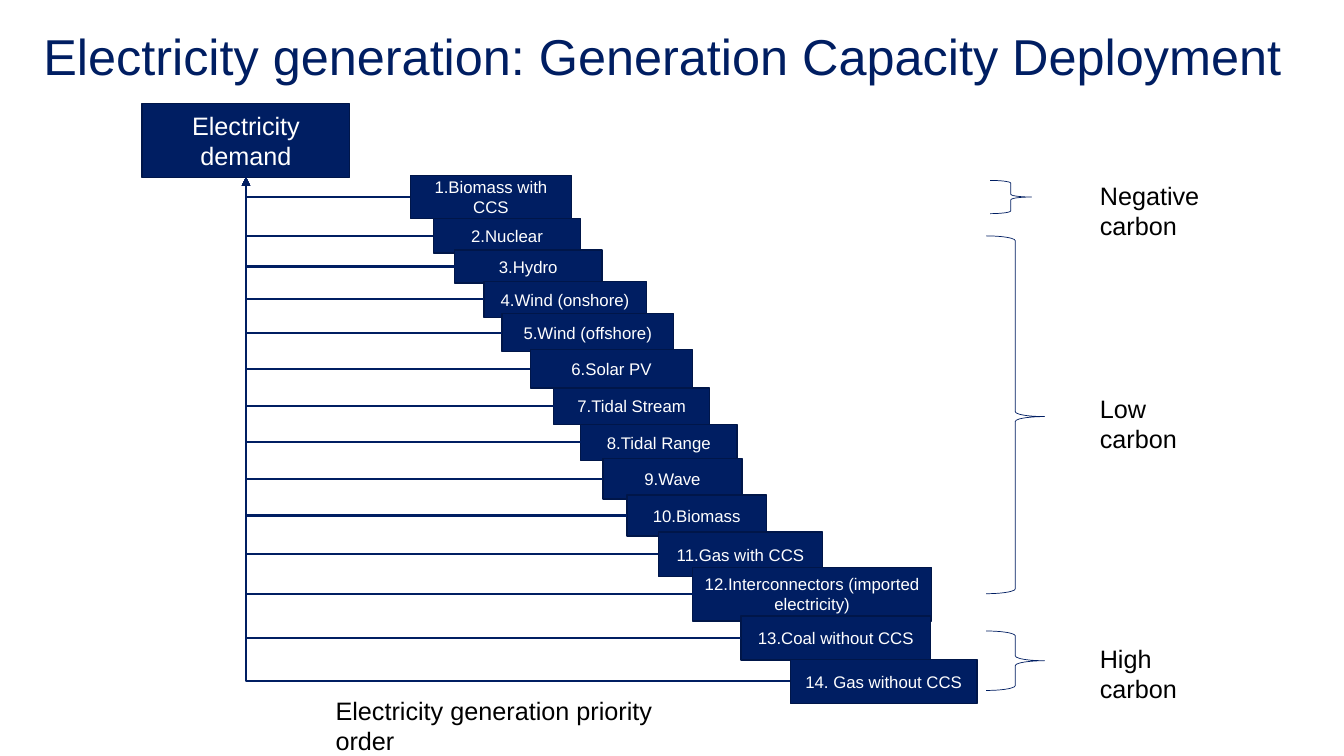
from lxml import etree
from pptx import Presentation
from pptx.dml.color import RGBColor
from pptx.enum.shapes import MSO_CONNECTOR, MSO_SHAPE
from pptx.enum.text import MSO_ANCHOR, MSO_AUTO_SIZE, PP_ALIGN
from pptx.oxml.ns import qn
from pptx.util import Inches, Pt

ELBOW = MSO_CONNECTOR.ELBOW
RECT, BRACE = MSO_SHAPE.RECTANGLE, MSO_SHAPE.RIGHT_BRACE
TOP, MIDDLE = MSO_ANCHOR.TOP, MSO_ANCHOR.MIDDLE
LEFT, CENTER = PP_ALIGN.LEFT, PP_ALIGN.CENTER
GROW, NO_AUTOFIT = MSO_AUTO_SIZE.SHAPE_TO_FIT_TEXT, MSO_AUTO_SIZE.NONE

NAVY = RGBColor(0x00, 0x1E, 0x62)
EDGE = RGBColor(0x00, 0x16, 0x49)
WHITE = RGBColor(0xFF, 0xFF, 0xFF)
BLACK = RGBColor(0x00, 0x00, 0x00)
FONT = "Arial"

# Sources in priority order: label, left, top, width, height
SOURCES = [
    ("1.Biomass with CCS", 4.07, 1.74, 1.6, 0.43),
    ("2.Nuclear", 4.3, 2.17, 1.46, 0.34),
    ("3.Hydro", 4.51, 2.48, 1.46, 0.33),
    ("4.Wind (onshore)", 4.8, 2.79, 1.61, 0.36),
    ("5.Wind (offshore)", 4.98, 3.11, 1.7, 0.38),
    ("6.Solar PV", 5.26, 3.47, 1.61, 0.38),
    ("7.Tidal Stream", 5.49, 3.85, 1.55, 0.36),
    ("8.Tidal Range", 5.76, 4.21, 1.55, 0.36),
    ("9.Wave", 5.98, 4.55, 1.38, 0.4),
    ("10.Biomass", 6.22, 4.91, 1.38, 0.41),
    ("11.Gas with CCS", 6.53, 5.28, 1.63, 0.44),
    ("12.Interconnectors (imported electricity)", 6.87, 5.63, 2.37, 0.53),
    ("13.Coal without CCS", 7.35, 6.11, 1.88, 0.44),
    ("14. Gas without CCS", 7.84, 6.54, 1.85, 0.44),
]

# Carbon bands: label, label top, label width, brace box, brace adjustments
BANDS = [
    ("Negative carbon", 1.74, 1.88, (9.82, 1.79, 0.41, 0.33), (0.083, 0.5)),
    ("Low carbon", 3.85, 1.39, (9.78, 2.34, 0.58, 3.55), (0.083, 0.505)),
    ("High carbon", 6.33, 1.44, (9.78, 6.26, 0.58, 0.59), (0.083, 0.5)),
]


def set_text(tf, text, size, color, align=LEFT):
    tf.text = text
    tf.word_wrap = True
    p = tf.paragraphs[0]
    p.alignment = align
    font = p.runs[0].font
    font.name, font.size, font.color.rgb = FONT, Pt(size), color
    return p


def set_title(slide, text):
    sp = slide.shapes.title
    sp.left, sp.top, sp.width, sp.height = map(Inches, (0.43, 0.32, 13.23, 1.45))
    tf = sp.text_frame
    p = set_text(tf, text, 36, NAVY)
    p.line_spacing = 0.9
    tf.auto_size = NO_AUTOFIT
    tf.vertical_anchor = TOP
    tf.margin_left = tf.margin_right = tf.margin_top = tf.margin_bottom = 0


def add_box(slide, text, box, size):
    sp = slide.shapes.add_shape(RECT, *map(Inches, box))
    sp.shadow.inherit = False
    sp.fill.solid()
    sp.fill.fore_color.rgb = NAVY
    sp.line.color.rgb = EDGE
    sp.line.width = Pt(1)
    sp.text_frame.vertical_anchor = MIDDLE
    set_text(sp.text_frame, text, size, WHITE, CENTER)
    return sp


def add_label(slide, text, box):
    sp = slide.shapes.add_textbox(*map(Inches, box))
    set_text(sp.text_frame, text, 18, BLACK)
    sp.text_frame.auto_size = GROW


def add_brace(slide, box, adjustments):
    sp = slide.shapes.add_shape(BRACE, *map(Inches, box))
    sp.shadow.inherit = False
    sp.fill.background()
    sp.line.color.rgb = NAVY
    sp.line.width = Pt(0.5)
    for i, value in enumerate(adjustments):
        sp.adjustments[i] = value


def add_feed(slide, source, demand):
    """Run an elbow arrow from a source's left side to the foot of demand."""
    line = slide.shapes.add_connector(ELBOW, 0, 0, 0, 0)
    line.begin_connect(source, 1)
    line.end_connect(demand, 2)
    line.line.color.rgb = NAVY
    line.line.width = Pt(1.5)
    # Single bend, arrowhead and no shadow
    spPr = line._element.spPr
    spPr.find(qn("a:prstGeom")).set("prst", "bentConnector2")
    etree.SubElement(spPr.find(qn("a:ln")), qn("a:tailEnd"), type="triangle")
    etree.SubElement(spPr, qn("a:effectLst"))


def main():
    prs = Presentation()
    prs.slide_width, prs.slide_height = Inches(13.33), Inches(7.5)
    slide = prs.slides.add_slide(prs.slide_layouts[5])
    set_title(slide, "Electricity generation: Generation Capacity Deployment")

    # Demand and the staircase of sources
    add_label(slide, "Electricity generation priority order", (3.23, 6.85, 3.81, 0.71))
    demand = add_box(slide, "Electricity demand", (1.41, 1.03, 2.06, 0.73), 18)
    sources = [add_box(slide, text, box, 12) for text, *box in SOURCES]
    for source in sources:
        add_feed(slide, source, demand)

    # Carbon bands
    for text, top, width, brace, adjustments in BANDS:
        add_brace(slide, brace, adjustments)
        add_label(slide, text, (10.81, top, width, 0.4))

    prs.save("out.pptx")


if __name__ == "__main__":
    main()
